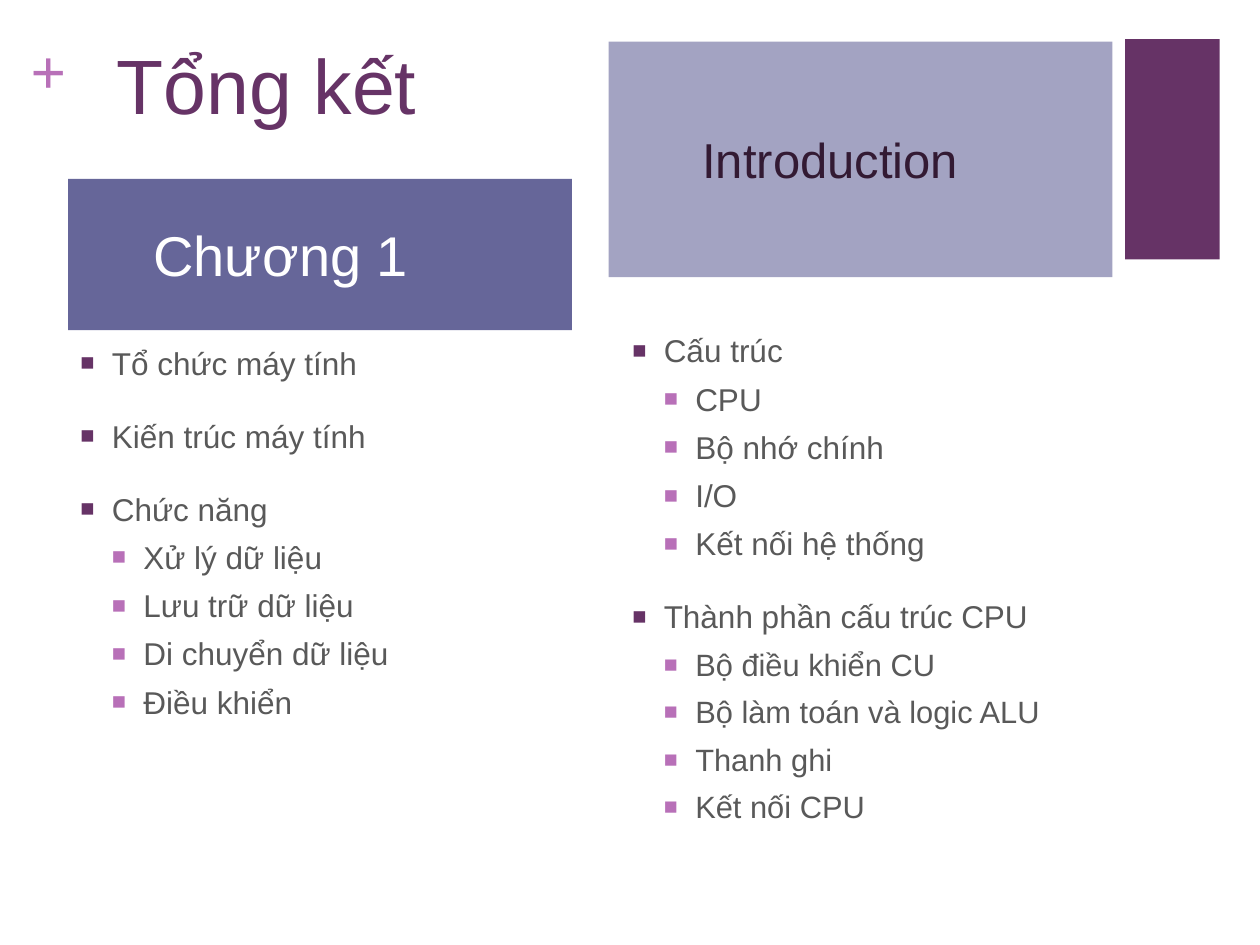
from lxml.etree import SubElement
from pptx import Presentation
from pptx.dml.color import RGBColor
from pptx.enum.shapes import MSO_SHAPE
from pptx.enum.text import MSO_ANCHOR, PP_ALIGN
from pptx.oxml.ns import qn
from pptx.util import Inches, Pt

COLORS = {
    "plum": "663366", "orchid": "B870B8", "gray": "595959", "white": "FFFFFF",
    "indigo": "666699", "lavender": "A3A3C2", "dark": "331A33",
}

LABELS = [
    ("+", (0.24, 0.25, 0.29, 0.61), 0, 36, "Times New Roman", "orchid", True),
    ("Tổng kết", (0.83, 0.25, 4.45, 1.22), 0.1, 44, "Arial", "plum", False),
]

LISTS = [
    ((0.54, 2.68, 4, 4.02), [
        (0, "Tổ chức máy tính", 18),
        (0, "Kiến trúc máy tính", 18),
        (0, "Chức năng", 18),
        (1, "Xử lý dữ liệu", 18),
        (1, "Lưu trữ dữ liệu", 18),
        (1, "Di chuyển dữ liệu", 18),
        (1, "Điều khiển", 18),
    ]),
    ((4.92, 2.58, 4, 4.33), [
        (0, "Cấu trúc", 18),
        (1, "CPU", 18),
        (1, "Bộ nhớ chính", 18),
        (1, "I/O", 18),
        (1, "Kết nối hệ thống", 18),
        (0, "Thành phần cấu trúc CPU", 18),
        (1, "Bộ điều khiển CU", 17.6),
        (1, "Bộ làm toán và logic ALU", 17.6),
        (1, "Thanh ghi", 17.6),
        (1, "Kết nối CPU", 17.6),
    ]),
]

BANNERS = [
    ("Chương 1", (0.54, 1.42, 4, 1.2), "indigo", 32, "white", 0.72),
    ("Introduction", (4.83, 0.33, 4, 1.87), "lavender", 28, "dark", 0.58),
]

LEVELS = [("plum", 20), ("orchid", 6)]
INDENT = 0.25


def color(name):
    return RGBColor.from_string(COLORS[name])


def add_span(para, text, size, font, tint, bold=False):
    span = para.add_run()
    span.text = text
    span.font.size = Pt(size)
    span.font.name = font
    span.font.bold = bold
    span.font.color.rgb = color(tint)


def add_box(page, place):
    box = page.shapes.add_textbox(*map(Inches, place))
    box.text_frame.word_wrap = True
    return box.text_frame


def add_block(page, place, fill):
    block = page.shapes.add_shape(MSO_SHAPE.RECTANGLE, *map(Inches, place))
    block.shadow.inherit = False
    block.fill.solid()
    block.fill.fore_color.rgb = color(fill)
    block.line.fill.background()
    return block.text_frame


def set_bullet(para, level):
    tint, space = LEVELS[level]
    para.level = level
    para.space_before = Pt(space)
    properties = para._p.get_or_add_pPr()
    properties.set("marL", str(Inches(INDENT * (level + 1))))
    properties.set("indent", str(-Inches(INDENT)))
    bullet_color = SubElement(properties, qn("a:buClr"))
    SubElement(bullet_color, qn("a:srgbClr"), val=COLORS[tint])
    SubElement(properties, qn("a:buSzPct"), val="75000")
    SubElement(properties, qn("a:buFont"), typeface="Arial")
    SubElement(properties, qn("a:buChar"), char="■")


def main():
    deck = Presentation()
    deck.slide_width, deck.slide_height = Inches(10), Inches(7.5)
    page = deck.slides.add_slide(deck.slide_layouts[6])

    add_block(page, (8.93, 0.31, 0.75, 1.75), "plum")

    for text, place, inset, size, font, tint, bold in LABELS:
        frame = add_box(page, place)
        frame.margin_left = frame.margin_right = Inches(inset)
        frame.margin_top = frame.margin_bottom = Inches(inset / 2)
        add_span(frame.paragraphs[0], text, size, font, tint, bold)

    for place, items in LISTS:
        frame = add_box(page, place)
        for index, (level, text, size) in enumerate(items):
            para = frame.add_paragraph() if index else frame.paragraphs[0]
            set_bullet(para, level)
            add_span(para, text, size, "Arial", "gray")

    for text, place, fill, size, tint, right in BANNERS:
        frame = add_block(page, place, fill)
        frame.word_wrap = True
        frame.vertical_anchor = MSO_ANCHOR.MIDDLE
        frame.margin_left, frame.margin_right = Inches(0.1), Inches(right)
        frame.margin_top = frame.margin_bottom = 0
        frame.paragraphs[0].alignment = PP_ALIGN.CENTER
        add_span(frame.paragraphs[0], text, size, "Arial", tint)

    deck.save("out.pptx")


if __name__ == "__main__":
    main()
